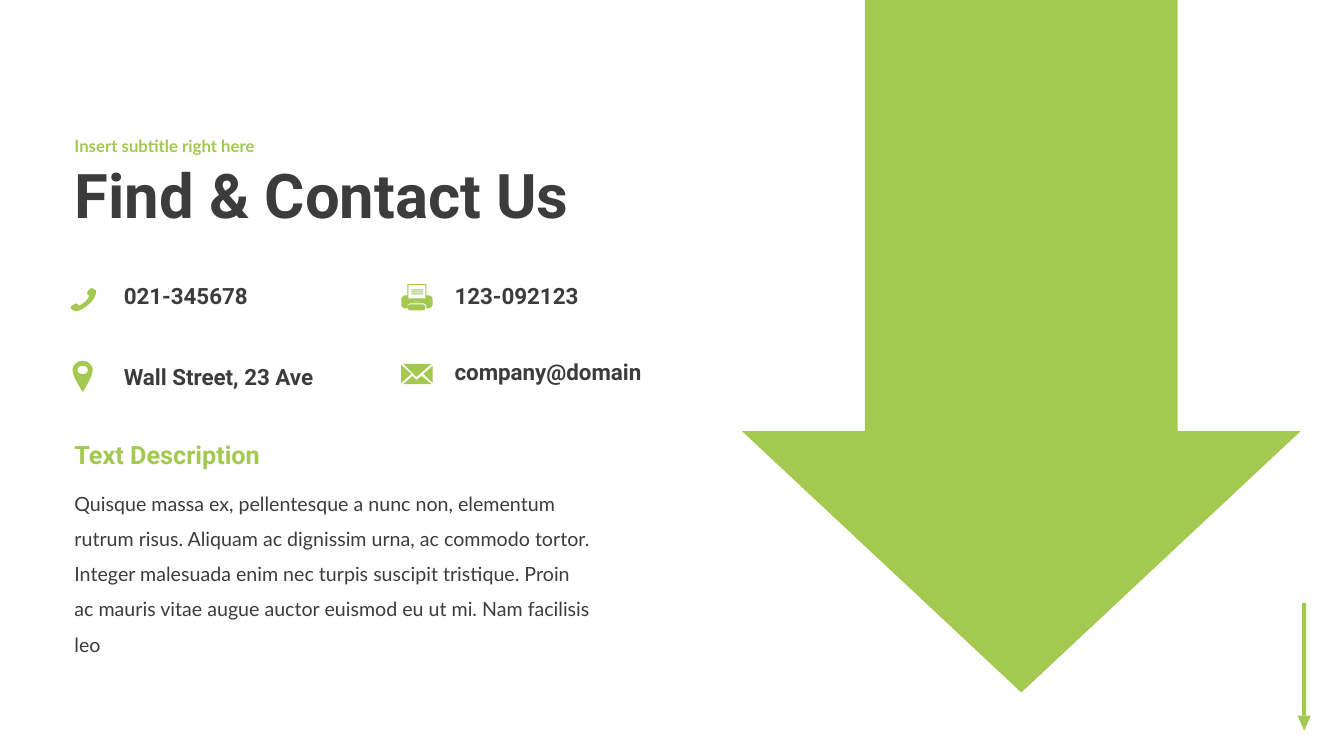
from pptx import Presentation
from pptx.dml.color import RGBColor
from pptx.enum.shapes import MSO_SHAPE as SHAPE
from pptx.enum.text import MSO_ANCHOR as ANCHOR
from pptx.util import Inches, Pt

GREEN, DARK = "A3C951", "3C3C3C"
SLIDE_W, SLIDE_H = 13.33, 7.5
UNIT = 0.01
CURVE_STEPS = 8

PHONE = [[(20, 9), (19, 8, 17, 7, 20, 4), (23, 0, 25, 3, 27, 4),
          (28, 6, 27, 12, 20, 18), (13, 24, 7, 26, 5, 24),
          (3, 23, 0, 21, 4, 19), (8, 16, 8, 17, 10, 19),
          (11, 20, 14, 17, 17, 15), (19, 13, 21, 10, 20, 9)]]
PIN = [[(0, 9), (0, 4, 5, 0, 10, 0), (15, 0, 20, 4, 20, 9),
        (20, 15, 14, 24, 10, 31), (6, 24, 0, 15, 0, 9)],
       [(5, 9), (5, 6, 7, 5, 10, 5), (13, 5, 15, 6, 15, 9),
        (15, 12, 13, 13, 10, 13), (7, 13, 5, 12, 5, 9)]]
PRINTER_BODY = [[(27, 11), (25, 11), (25, 0), (6, 0), (6, 11), (4, 11),
                 (2, 11, 0, 13, 0, 15), (0, 20), (0, 22, 2, 24, 4, 24),
                 (6, 24), (6, 21, 7, 19, 9, 19), (22, 19),
                 (24, 19, 25, 21, 25, 24), (27, 24),
                 (29, 24, 31, 22, 31, 20), (31, 15), (31, 13, 29, 11, 27, 11)],
                [(7, 1), (24, 1), (24, 14), (7, 14)],
                [(13, 16.5), (18, 16.5), (18, 17), (13, 17)]]
ENVELOPE = [[(2, 0), (30, 0), (15, 13)],
            [(31, 2), (22, 10), (31, 19)],
            [(0, 1), (10, 10), (0, 19)],
            [(15, 16), (11, 12), (2, 20), (30, 20), (20, 12)]]


def color(value):
    return RGBColor.from_string(value)


def paint(sp):
    sp.shadow.inherit = False
    sp.fill.solid()
    sp.fill.fore_color.rgb = color(GREEN)
    sp.line.fill.background()


def add_block(shapes, preset, x, y, w, h):
    sp = shapes.add_shape(preset, Inches(x), Inches(y), Inches(w), Inches(h))
    paint(sp)
    return sp


def flatten(contour):
    points = [contour[0]]
    for segment in contour[1:]:
        if len(segment) == 2:
            points.append(segment)
            continue
        start = points[-1]
        for step in range(1, CURVE_STEPS + 1):
            t = step / CURVE_STEPS
            u = 1 - t
            points.append(tuple(
                u ** 3 * start[i] + 3 * u * u * t * segment[i]
                + 3 * u * t * t * segment[i + 2] + t ** 3 * segment[i + 4]
                for i in (0, 1)))
    return points


def add_outline(shapes, x, y, contours, unit=UNIT):
    builder = None
    for contour in contours:
        points = [(Inches(x + px * unit), Inches(y + py * unit))
                  for px, py in flatten(contour)]
        if builder is None:
            builder = shapes.build_freeform(*points[0], scale=1.0)
        else:
            builder.move_to(*points[0])
        builder.add_line_segments(points[1:], close=True)
    paint(builder.convert_to_shape())


def add_text(slide, box, text, size, font, rgb=DARK, bold=True, spacing=None,
             anchor=ANCHOR.TOP):
    tf = slide.shapes.add_textbox(*map(Inches, box)).text_frame
    tf.word_wrap = True
    tf.vertical_anchor = anchor
    p = tf.paragraphs[0]
    p.text = text
    p.line_spacing = spacing
    p.font.size, p.font.name, p.font.bold = Pt(size), font, bold
    p.font.color.rgb = color(rgb)


def phone_icon(slide, x, y):
    add_outline(slide.shapes, x, y, PHONE)


def pin_icon(slide, x, y):
    add_outline(slide.shapes, x, y, PIN)


def printer_icon(slide, x, y):
    shapes = slide.shapes.add_group_shape().shapes
    tray = add_block(shapes, SHAPE.ROUNDED_RECTANGLE, x + 0.06, y + 0.2, 0.18, 0.06)
    tray.adjustments[0] = 0.5
    add_outline(shapes, x, y, PRINTER_BODY)
    for row in range(3):
        add_block(shapes, SHAPE.RECTANGLE, x + 0.1, y + 0.05 + row * 0.02, 0.12, 0.01)


def envelope_icon(slide, x, y):
    shapes = slide.shapes.add_group_shape().shapes
    for flap in ENVELOPE:
        add_outline(shapes, x, y, [flap])


def big_arrow(slide, x, y, w, h):
    shaft, head = 0.22 * w, 0.653 * h
    add_outline(slide.shapes, x, y, [[
        (shaft, 0), (w - shaft, 0), (w - shaft, head), (w, head),
        (w / 2, h), (0, head), (shaft, head)]], unit=1)


def corner_arrow(slide, x, y, w, h):
    shapes = slide.shapes.add_group_shape().shapes
    tip, stem = 0.15, 0.04
    add_block(shapes, SHAPE.RECTANGLE, x + (w - stem) / 2, y, stem, h - tip)
    add_block(shapes, SHAPE.ISOSCELES_TRIANGLE, x, y + h - tip, w, tip).rotation = 180


def heading(slide, x, y, w):
    add_text(slide, (x, y + 0.19, w, 1.03), "Find & Contact Us", 44, "Roboto",
             spacing=0.9, anchor=ANCHOR.MIDDLE)
    add_text(slide, (x, y, w, 0.38), "Insert subtitle right here", 12, "Lato",
             GREEN, spacing=0.9, anchor=ANCHOR.MIDDLE)


def contacts(slide, x, y):
    column = 3.28
    entries = [
        (phone_icon, 0.04, 0.09, 0, 0, "021-345678"),
        (pin_icon, 0.08, 0.83, 0, 0.8, "Wall Street, 23 Ave"),
        (printer_icon, 0.06, 0.07, 1, 0, "123-092123"),
        (envelope_icon, 0.06, 0.86, 1, 0.75, "company@domain"),
    ]
    for icon, icon_x, icon_y, col, text_y, text in entries:
        left = x + col * column
        icon(slide, left + icon_x, y + icon_y)
        add_text(slide, (left + 0.49, y + text_y, 2.7, 0.37), text, 16, "Roboto")


def description(slide, x, y, w):
    add_text(slide, (x, y, w, 0.4), "Text Description", 18, "Roboto", GREEN)
    add_text(slide, (x, y + 0.4, w, 1.48),
             "Quisque massa ex, pellentesque a nunc non, elementum rutrum risus. "
             "Aliquam ac dignissim urna, ac commodo tortor. Integer malesuada enim "
             "nec turpis suscipit tristique. Proin ac mauris vitae augue auctor "
             "euismod eu ut mi. Nam facilisis leo",
             14, "Lato", bold=False, spacing=1.5)


def main():
    prs = Presentation()
    prs.slide_width, prs.slide_height = Inches(SLIDE_W), Inches(SLIDE_H)
    slide = prs.slides.add_slide(prs.slide_layouts[6])
    margin = 0.64
    corner_arrow(slide, 12.87, 5.98, 0.13, 1.27)
    big_arrow(slide, 7.36, -0.6, 5.54, 7.47)
    heading(slide, margin, 1.27, 7.5)
    contacts(slide, margin, 2.75)
    description(slide, margin, 4.31, 5.33)
    prs.save("out.pptx")


if __name__ == "__main__":
    main()
